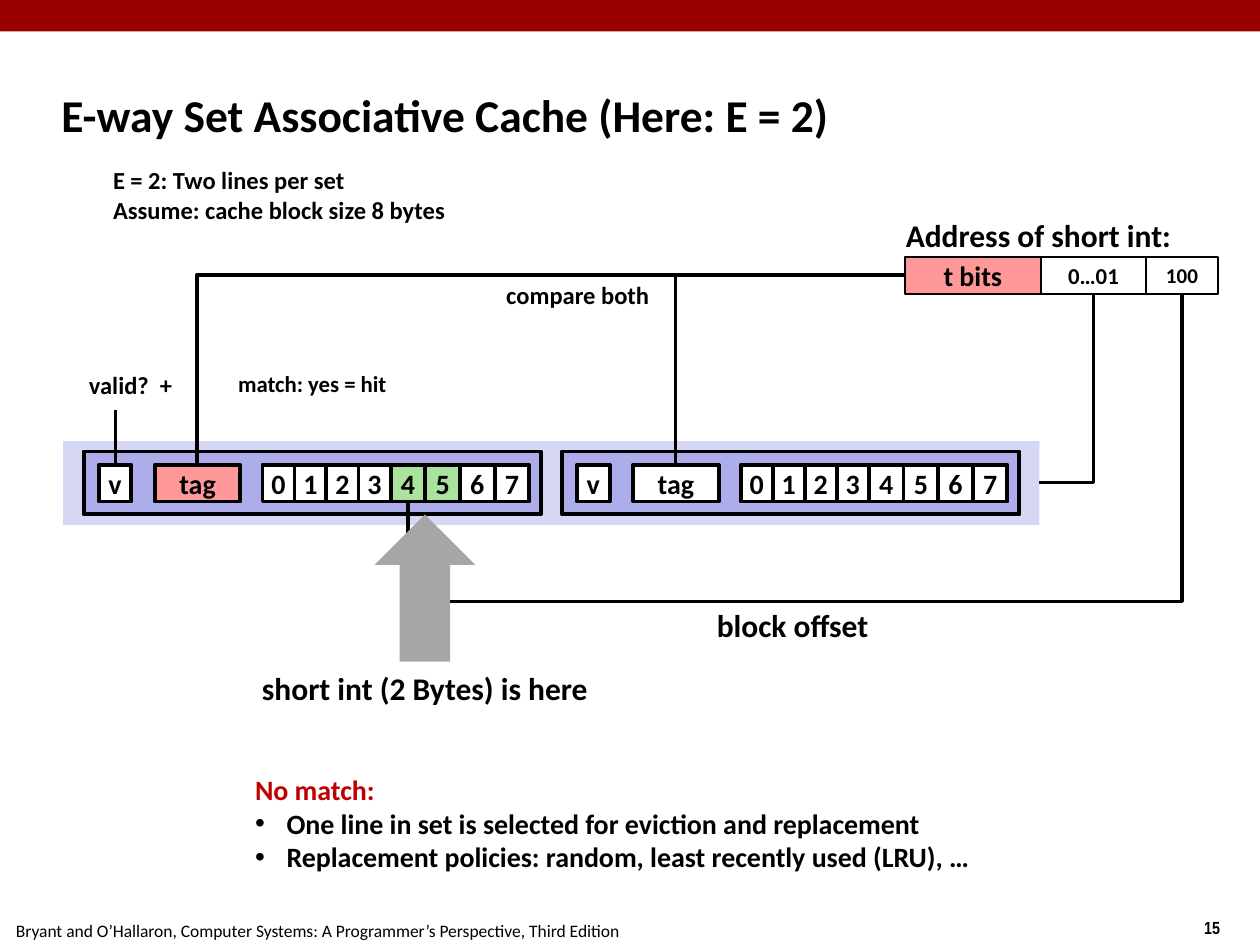
from pptx import Presentation
from pptx.dml.color import RGBColor
from pptx.enum.shapes import MSO_CONNECTOR as CONN, MSO_SHAPE as SHAPE
from pptx.enum.text import MSO_ANCHOR as ANCHOR, PP_ALIGN as ALIGN
from pptx.oxml.ns import qn
from pptx.util import Pt
from lxml import etree

COLORS = {
    "black": "000000", "white": "FFFFFF", "band": "990000", "tag": "FF9999",
    "set": "D6D6F5", "line": "ADADEB", "hit": "A9E39D", "arrow": "A6A6A6",
    "alert": "C00000",
}


def rgb(name):
    return RGBColor.from_string(COLORS[name])


def add_run(p, text, size, bold=True, color="black", font="Calibri"):
    r = p.add_run()
    r.text = text
    r.font.name, r.font.size, r.font.bold = font, Pt(size), bold
    r.font.color.rgb = rgb(color)


def add_bullet(p):
    pPr = p._p.get_or_add_pPr()
    pPr.set("marL", str(Pt(18)))
    pPr.set("indent", str(-Pt(18)))
    etree.SubElement(pPr, qn("a:buFont")).set("typeface", "Arial")
    etree.SubElement(pPr, qn("a:buChar")).set("char", "•")


def add_label(s, x, y, w, h, *lines, size, **style):
    tf = s.shapes.add_textbox(Pt(x), Pt(y), Pt(w), Pt(h)).text_frame
    tf.word_wrap = True
    for i, text in enumerate(lines):
        p = tf.add_paragraph() if i else tf.paragraphs[0]
        add_run(p, text, size, **style)
    return tf


def add_box(s, x, y, w, h, fill, line=None, text=None, size=16, kind=SHAPE.RECTANGLE):
    sp = s.shapes.add_shape(kind, Pt(x), Pt(y), Pt(w), Pt(h))
    sp.shadow.inherit = False
    sp.fill.solid()
    sp.fill.fore_color.rgb = rgb(fill)
    if line:
        sp.line.color.rgb = rgb("black")
        sp.line.width = Pt(line)
    else:
        sp.line.fill.background()
    if text:
        tf = sp.text_frame
        tf.word_wrap = False
        tf.vertical_anchor = ANCHOR.MIDDLE
        tf.paragraphs[0].alignment = ALIGN.CENTER
        add_run(tf.paragraphs[0], text, size)
    return sp


def add_wire(s, x1, y1, x2, y2, preset="bentConnector2"):
    c = s.shapes.add_connector(CONN.STRAIGHT, Pt(x1), Pt(y1), Pt(x2), Pt(y2))
    c.line.color.rgb = rgb("black")
    c.line.width = Pt(2)
    spPr = c._element.spPr
    etree.SubElement(spPr, qn("a:effectLst"))
    spPr.find(qn("a:prstGeom")).set("prst", preset)
    return c


def add_u_wire(s, x1, y1, x2, y2, bottom):
    """Wire that drops from (x1, y1) to bottom, runs left and rises to (x2, y2)."""
    run, drop = x1 - x2, y2 - y1
    left, top = (x1 + x2 - drop) / 2, (y1 + y2 - run) / 2
    c = add_wire(s, left, top, left + drop, top + run, "bentConnector3")
    spPr = c._element.spPr
    spPr.find(qn("a:xfrm")).set("rot", "5400000")
    guides = spPr.find(qn("a:prstGeom")).get_or_add_avLst()
    gd = etree.SubElement(guides, qn("a:gd"))
    gd.set("name", "adj1")
    gd.set("fmla", f"val {round((bottom - y1) / drop * 100000)}")


def add_frame(s, w, h):
    add_box(s, 0, 0, w, 18, "band")
    add_label(s, w - 39, h - 19.5, 30, 19.5, "15", size=10, font="Arial Narrow")
    add_label(s, 2, h - 18, 400, 18,
              "Bryant and O’Hallaron, Computer Systems: A Programmer’s Perspective, "
              "Third Edition", size=10, bold=False)


def add_heading(s, x, y, w, h):
    tf = add_label(s, x, y, w, h, "E-way Set Associative Cache (Here: E = 2)", size=26)
    tf.vertical_anchor = ANCHOR.MIDDLE
    add_label(s, x + 29.5, y + 55.5, 240, 41, "E = 2: Two lines per set",
              "Assume: cache block size 8 bytes", size=14)


def add_address(s, x, y, h):
    fields = [("t bits", 77.8, "tag", 16), ("0…01", 60, "white", 13),
              ("100", 41.2, "white", 12)]
    add_label(s, x - 6.5, y - 26.8, 190, 29, "Address of short int:", size=18)
    for text, w, fill, size in fields:
        add_box(s, x, y, w, h, fill, 1, text, size)
        x += w


def add_cache_line(s, x, y, w, h, tag_fill, hit_bytes):
    add_box(s, x, y, w, h, "line", 2.25)
    top, cell_h = y + 7.7, 20.9
    add_box(s, x + 8.6, top, 18.7, cell_h, "white", 2.25, "v")
    add_box(s, x + 40.6, top, 49, cell_h, tag_fill, 2.25, "tag")
    left = x + 102.2
    for byte in range(8):
        cell_w = 18.3 if byte < 4 else 19.8
        fill = "hit" if byte in hit_bytes else "white"
        add_box(s, left, top, cell_w, cell_h, fill, 2.25, str(byte))
        left += cell_w


def add_cache_set(s, x, y, w, h):
    add_box(s, x, y, w, h, "set")
    add_cache_line(s, x + 11.8, y + 6, 261.4, 36, "tag", (4, 5))
    add_cache_line(s, x + 285.1, y + 6, 261.4, 36, "white", ())


def add_lookup(s, x, y):
    """Wires and captions around the cache set whose corner is (x, y)."""
    right, cell_top = x + 558, y + 13.7
    add_wire(s, right, y + 23.8, x + 589, y - 84)           # set index
    for tag_x in (x + 350, x + 76.5):                       # tag comparison
        add_wire(s, x + 481, y - 94.8, tag_x, cell_top)
    add_label(s, x + 246.2, y - 95.8, 102, 24, "compare both", size=14)
    add_wire(s, x + 30, y - 18, x + 30, cell_top, "line")   # valid bit
    add_label(s, x + 7.7, y - 44, 68, 24, "valid?  +", size=14)
    add_label(s, x + 93, y - 44, 120, 23, "match: yes = hit", size=13)
    add_u_wire(s, x + 639.4, y - 84, x + 197.2, y + 34.6, y + 91.6)
    add_label(s, x + 366.5, y + 90.7, 120, 29, "block offset", size=18)
    add_box(s, x + 178, y + 42, 57.6, 84, "arrow", kind=SHAPE.UP_ARROW)
    add_label(s, x + 106.6, y + 126.7, 230, 29, "short int (2 Bytes) is here", size=18)


def add_no_match(s, x, y, w, h):
    tf = add_label(s, x, y, w, h, "No match:", size=16, color="alert")
    for text in ("One line in set is selected for eviction and replacement",
                 "Replacement policies: random, least recently used (LRU), …"):
        p = tf.add_paragraph()
        add_bullet(p)
        add_run(p, text, 16)


def main():
    prs = Presentation()
    prs.slide_width, prs.slide_height = Pt(720), Pt(540)
    s = prs.slides.add_slide(prs.slide_layouts[6])
    add_frame(s, 720, 540)
    add_heading(s, 28, 35.5, 649.5, 60)
    add_address(s, 517, 146.7, 21.3)
    add_cache_set(s, 36, 252, 558, 48)
    add_lookup(s, 36, 252)
    add_no_match(s, 138.7, 438, 460, 64.8)
    prs.save("out.pptx")


if __name__ == "__main__":
    main()
